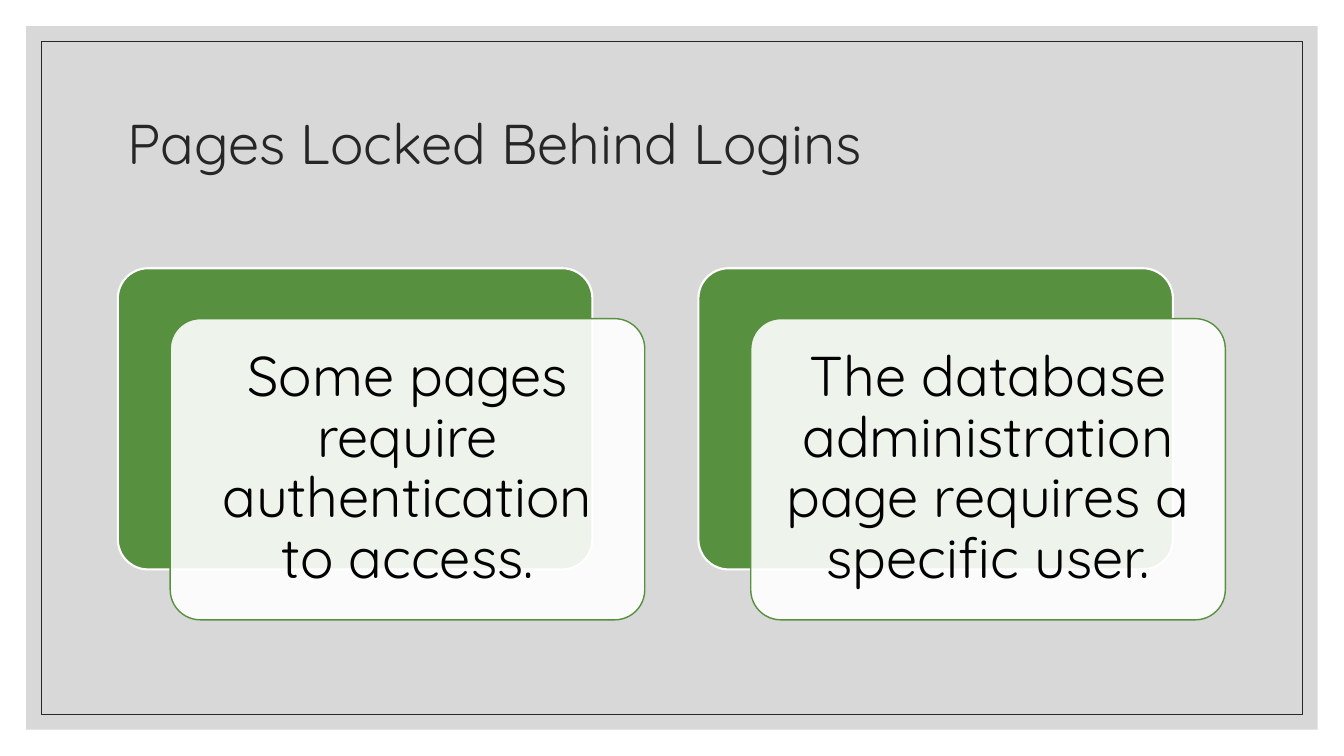
from lxml import etree
from pptx import Presentation
from pptx.dml.color import RGBColor
from pptx.enum import shapes, text
from pptx.oxml import ns
from pptx.util import Cm, Pt

WHITE = RGBColor(0xFF, 0xFF, 0xFF)
BLACK = RGBColor(0x00, 0x00, 0x00)
CHARCOAL = RGBColor(0x26, 0x26, 0x26)
GREY = RGBColor(0xBF, 0xBF, 0xBF)
GREEN = RGBColor(0x57, 0x90, 0x3F)

SLIDE_W, SLIDE_H = 33.87, 19.05
CARD_W, CARD_H = 11.96, 7.59
CARD_LEFT, CARD_TOP, CARD_PITCH = 2.97, 6.76, 14.63
FRONT_DX, FRONT_DY = 1.32, 1.27
MESSAGES = [
    "Some pages require authentication to access.",
    "The database administration page requires a specific user.",
]

deck = Presentation()
deck.slide_width, deck.slide_height = Cm(SLIDE_W), Cm(SLIDE_H)
page = deck.slides.add_slide(deck.slide_layouts[6])


def add_panel(kind, left, top, width, height, fill=None, opacity=100, line=None, weight=1):
    """Add a shape in centimetres; opacity is a percentage, no colour means none drawn."""
    panel = page.shapes.add_shape(kind, Cm(left), Cm(top), Cm(width), Cm(height))
    panel.shadow.inherit = False
    if fill is None:
        panel.fill.background()
    else:
        panel.fill.solid()
        panel.fill.fore_color.rgb = fill
        if opacity < 100:
            color = panel.fill._xPr.find(".//" + ns.qn("a:srgbClr"))
            etree.SubElement(color, ns.qn("a:alpha"), val=str(opacity * 1000))
    if line is None:
        panel.line.fill.background()
    else:
        panel.line.color.rgb = line
        panel.line.width = Pt(weight)
    return panel


def write(box, words, color, align):
    frame = box.text_frame
    frame.text = words
    frame.word_wrap = True
    frame.vertical_anchor = text.MSO_ANCHOR.MIDDLE
    para = frame.paragraphs[0]
    para.alignment = align
    para.line_spacing = 0.9
    font = para.runs[0].font
    font.name, font.size = "Quicksand", Pt(40)
    font.color.rgb = color


# Grey backdrop and its thin inner frame
for margin, style in [
    (0.66, dict(fill=GREY, opacity=60)),
    (1.04, dict(line=CHARCOAL, weight=0.5)),
]:
    add_panel(shapes.MSO_SHAPE.RECTANGLE, margin, margin,
              SLIDE_W - 2 * margin, SLIDE_H - 2 * margin, **style)

title = page.shapes.add_textbox(Cm(2.97), Cm(1.78), Cm(27.94), Cm(3.81))
write(title, "Pages Locked Behind Logins", CHARCOAL, text.PP_ALIGN.LEFT)

# Each message sits on a translucent card in front of a green one
for index, message in enumerate(MESSAGES):
    left = CARD_LEFT + index * CARD_PITCH
    back = add_panel(shapes.MSO_SHAPE.ROUNDED_RECTANGLE, left, CARD_TOP,
                     CARD_W, CARD_H, fill=GREEN, line=WHITE, weight=1.5)
    front = add_panel(shapes.MSO_SHAPE.ROUNDED_RECTANGLE, left + FRONT_DX, CARD_TOP + FRONT_DY,
                      CARD_W, CARD_H, fill=WHITE, opacity=90, line=GREEN)
    for card in (back, front):
        card.adjustments[0] = 0.1
    frame = front.text_frame
    frame.margin_left = frame.margin_right = Cm(0.43)
    frame.margin_top = frame.margin_bottom = Cm(0.43)
    write(front, message, BLACK, text.PP_ALIGN.CENTER)

deck.save("out.pptx")
